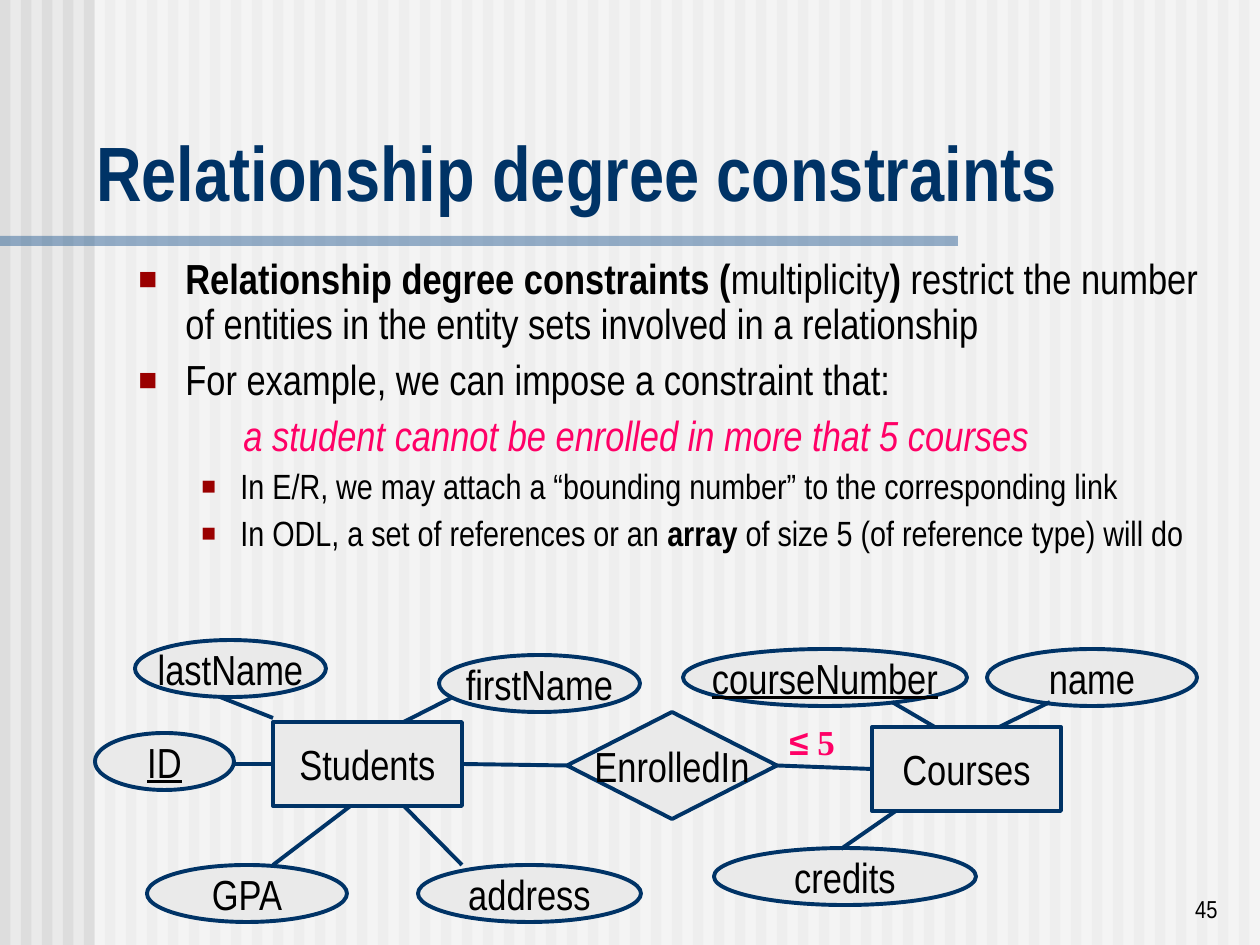
from lxml.etree import SubElement
from pptx import Presentation
from pptx.dml.color import RGBColor
from pptx.enum.shapes import MSO_CONNECTOR, MSO_SHAPE
from pptx.enum.text import MSO_ANCHOR, PP_ALIGN
from pptx.oxml.ns import qn
from pptx.util import Emu, Pt

SCALE = 914400 / 126
WIDE, HIGH = 1260, 945
NAVY, PALE, PINK, RED = "003366", "EAEAEA", "FF0066", "9A0000"
NARROW = "Arial Narrow"
BOLD = {"bold": True}

# Content: body paragraphs as (level, runs)
BODY = [
    ("main", [("Relationship degree constraints (", BOLD), ("multiplicity", {}), (")", BOLD),
              (" restrict the number of entities in the entity sets involved in a relationship", {})]),
    ("main", [("For example, we can impose a constraint that:", {})]),
    ("quote", [("a student cannot be enrolled in more that 5 courses",
                {"color": PINK, "italic": True})]),
    ("sub", [("In E/R, we may attach a “bounding number” to the corresponding link", {})]),
    ("sub", [("In ODL, a set of references or an ", {}), ("array", BOLD),
             (" of size 5 (of reference type) will do", {})]),
]
LEVELS = {  # left margin and hang in px, bullet size in percent
    "main": {"size": 24, "before": 6, "left": 47, "hang": 47, "bullet": 75},
    "quote": {"size": 24, "before": 6, "left": 105},
    "sub": {"size": 20, "before": 5, "left": 102, "hang": 39, "bullet": 70},
}

# Attributes: name, left, top, width, is key
OVALS = [
    ("courseNumber", 683, 649, 284, True), ("name", 987, 649, 210, False),
    ("credits", 714, 848, 262, False), ("GPA", 147, 865, 200, False),
    ("address", 418, 865, 223, False), ("ID", 95, 733, 139, True),
    ("firstName", 439, 655, 201, False), ("lastName", 135, 640, 191, False),
]
OVAL_H = 57
BOXES = [
    ("Students", MSO_SHAPE.RECTANGLE, (273, 722, 189, 84)),
    ("EnrolledIn", MSO_SHAPE.DIAMOND, (567, 712, 210, 107)),
    ("Courses", MSO_SHAPE.RECTANGLE, (872, 727, 189, 84)),
]
LINKS = [  # attribute to entity
    (903, 806, 841, 849), (892, 702, 945, 733), (1050, 702, 987, 733),
    (273, 865, 357, 801), (462, 865, 399, 801), (451, 698, 388, 730),
    (220, 697, 273, 718),
]


def px(n):
    return Emu(round(n * SCALE))


def rgb(code):
    return RGBColor.from_string(code)


def shape(kind, box, fill, line=None, alpha=None):
    item = slide.shapes.add_shape(kind, *map(px, box))
    item.shadow.inherit = False
    item.fill.solid()
    item.fill.fore_color.rgb = rgb(fill)
    if alpha:
        color = item.fill._xPr.find(".//" + qn("a:srgbClr"))
        SubElement(color, qn("a:alpha")).set("val", str(alpha * 1000))
    if line:
        item.line.color.rgb = rgb(line)
        item.line.width = Pt(2.25)
    else:
        item.line.fill.background()
    return item


def link(x1=0, y1=0, x2=0, y2=0):
    line = slide.shapes.add_connector(MSO_CONNECTOR.STRAIGHT, *map(px, (x1, y1, x2, y2)))
    line.line.color.rgb = rgb(NAVY)
    line.line.width = Pt(2.25)
    SubElement(line._element.spPr, qn("a:effectLst"))
    return line


def mark(para, left, hang, bullet):
    """Set the indent and the bullet of a paragraph."""
    props = para._p.get_or_add_pPr()
    props.set("marL", str(px(left)))
    props.set("indent", str(px(-hang)))
    if bullet:
        color = SubElement(props, qn("a:buClr"))
        SubElement(color, qn("a:srgbClr")).set("val", RED)
        SubElement(props, qn("a:buSzPct")).set("val", str(bullet * 1000))
        SubElement(props, qn("a:buFont")).set("typeface", "Arial")
        SubElement(props, qn("a:buChar")).set("char", "■")
    else:
        SubElement(props, qn("a:buNone"))


def write(para, text, size=24, font=NARROW, color="000000", bold=False,
          italic=False, under=False, align=PP_ALIGN.LEFT):
    para.alignment = align
    run = para.add_run()
    run.text = text
    face = run.font
    face.name, face.size, face.color.rgb = font, Pt(size), rgb(color)
    face.bold, face.italic, face.underline = bold, italic, under


def frame(box, anchor=MSO_ANCHOR.TOP):
    text = slide.shapes.add_textbox(*map(px, box)).text_frame
    text.word_wrap = True
    text.vertical_anchor = anchor
    return text


def node(name, kind, box, under=False):
    item = shape(kind, box, PALE, NAVY)
    text = item.text_frame
    text.word_wrap = False
    text.vertical_anchor = MSO_ANCHOR.MIDDLE
    write(text.paragraphs[0], name, under=under, align=PP_ALIGN.CENTER)
    return item


deck = Presentation()
deck.slide_width, deck.slide_height = px(WIDE), px(HIGH)
slide = deck.slides.add_slide(deck.slide_layouts[6])
slide.background.fill.solid()
slide.background.fill.fore_color.rgb = rgb(PALE)

# Striped backdrop, veil and title rule
PITCH = 21
for left in range(0, WIDE, PITCH):
    shape(MSO_SHAPE.RECTANGLE, (left, 0, PITCH / 2, HIGH), "DDDDDD")
shape(MSO_SHAPE.RECTANGLE, (95, 0, WIDE - 95, HIGH), "FFFFFF", alpha=50)
shape(MSO_SHAPE.RECTANGLE, (0, 236, 958, 10), "336699", alpha=50)

# Title
title = frame((84, 118, 1176, 105), MSO_ANCHOR.BOTTOM)
write(title.paragraphs[0], "Relationship degree constraints", size=44, color=NAVY, bold=True)

# Body
body = frame((126, 252, 1114, 325))
for i, (name, runs) in enumerate(BODY):
    level = LEVELS[name]
    para = body.add_paragraph() if i else body.paragraphs[0]
    mark(para, level["left"], level.get("hang", 0), level.get("bullet"))
    para.line_spacing = 0.9
    para.space_before = Pt(level["before"] if i else 0)
    for text, style in runs:
        write(para, text, size=level["size"], **style)

# Bound on the link
bound = frame((777, 714, 147, 55)).paragraphs[0]
write(bound, "≤", size=20, font="Arial", color=PINK, bold=True)
write(bound, " 5", size=20, font="Times New Roman", color=PINK, bold=True)

# Diagram: attributes, their links, then entities over the link ends
for name, left, top, width, key in OVALS:
    node(name, MSO_SHAPE.OVAL, (left, top, width, OVAL_H), under=key)
for ends in LINKS:
    link(*ends)
nodes = {name: node(name, kind, box) for name, kind, box in BOXES}

# Links joined to side middles
for start, end in (("Students", "EnrolledIn"), ("EnrolledIn", "Courses")):
    line = link()
    line.begin_connect(nodes[start], 3)
    line.end_connect(nodes[end], 1)
link(233, 764, 273, 764).end_connect(nodes["Students"], 1)

# Page number
page = frame((968, 867, 262, 63), MSO_ANCHOR.BOTTOM)
write(page.paragraphs[0], "45", size=14, align=PP_ALIGN.RIGHT)

deck.save("out.pptx")
